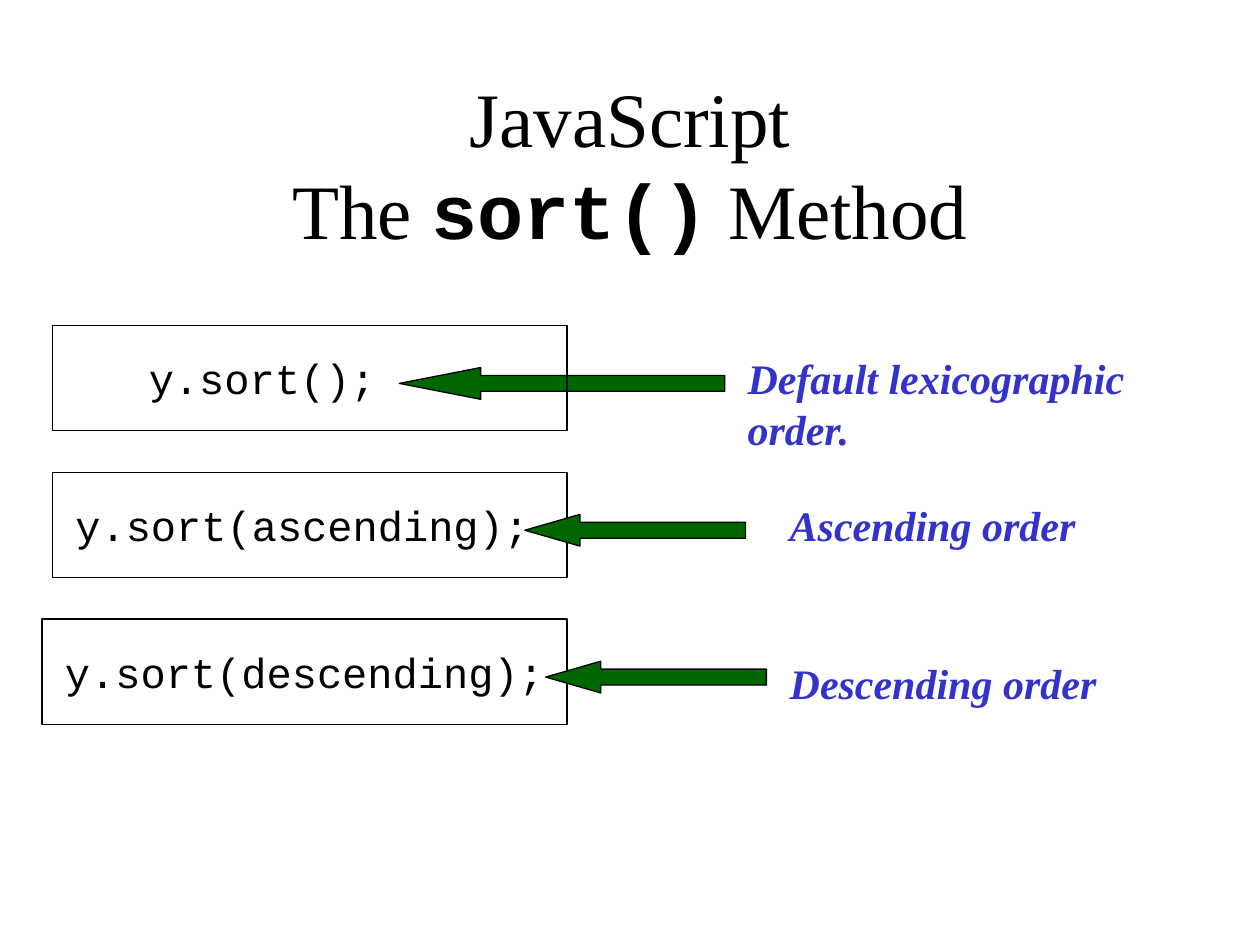
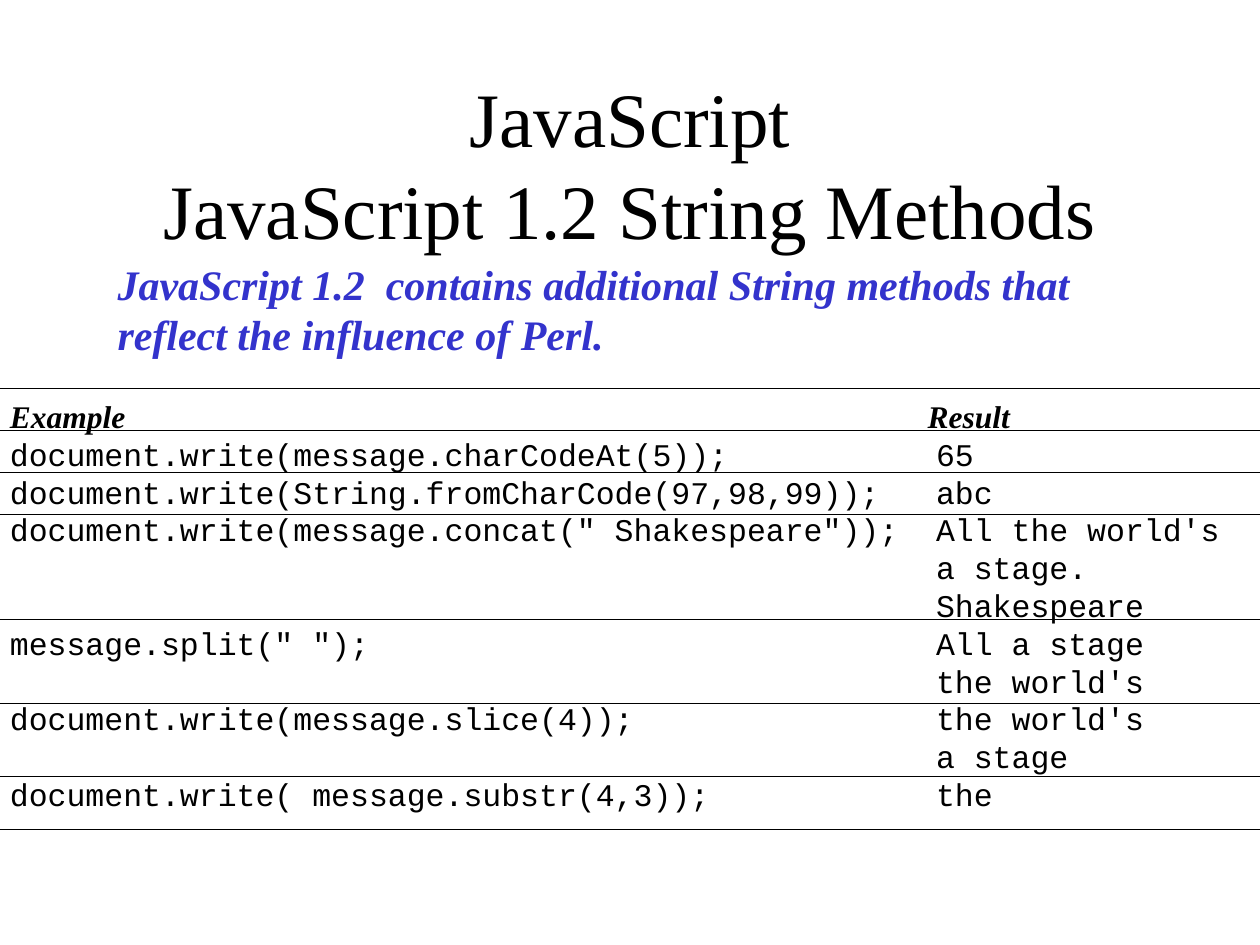
from typing import NamedTuple

from lxml.etree import SubElement
from pptx import Presentation
from pptx.dml.color import RGBColor
from pptx.enum.shapes import MSO_CONNECTOR, MSO_SHAPE
from pptx.enum.text import MSO_ANCHOR, MSO_AUTO_SIZE, PP_ALIGN
from pptx.oxml.ns import qn
from pptx.util import Cm, Pt

COLOURS = {"ink": "000000", "note": "3333CC", "arrow": "006600"}
SERIF, MONO = "Times New Roman", "Courier New"
LINE_WIDTH = Pt(0.75)
PAGE_WIDTH, PAGE_HEIGHT = 25.4, 19.05


class Call(NamedTuple):
    """One sort call with its arrow and note; lengths in cm."""
    code: str
    box_left: float
    indent: float
    arrow_left: float
    arrow_width: float
    note: list
    note_left: float
    note_drop: float
    note_width: float


CALLS = [
    Call("y.sort();", 1.06, 1.94, 8.05, 6.56,
         ["Default lexicographic", "order."], 14.82, 0.43, 8.69),
    Call("y.sort(ascending);", 1.06, 0.46, 10.58, 4.45,
         ["Ascending order"], 15.67, 0.43, 7.19),
    Call("y.sort(descending);", 0.85, 0.46, 11.0, 4.45,
         ["Descending order"], 15.67, 0.65, 7.19),
]
CALLS_TOP, CALL_PITCH, BOX_HEIGHT, BOX_RIGHT = 6.56, 2.96, 2.12, 11.43

METHODS = [
    ("document.write(message.charCodeAt(5));", ["65"]),
    ("document.write(String.fromCharCode(97,98,99));", ["abc"]),
    ('document.write(message.concat(" Shakespeare"));',
     ["All the world's", "a stage.", "Shakespeare"]),
    ('message.split(" ");', ["All a stage", "the world's"]),
    ("document.write(message.slice(4));", ["the world's", "a stage"]),
    ("document.write( message.substr(4,3));", ["the"]),
]
RULE_DROPS = [0, 0.85, 1.69, 2.54, 4.66, 6.35, 7.83, 8.89]


def colour(name):
    """Return a palette colour."""
    return RGBColor.from_string(COLOURS[name])


def add_span(para, text, size, face=SERIF, ink="ink", bold=False, italic=False):
    """Add one formatted run."""
    span = para.add_run()
    span.text = text
    font = span.font
    font.name, font.size, font.bold, font.italic = face, Pt(size), bold, italic
    font.color.rgb = colour(ink)


def write_line(para, text, size, **style):
    """Write a left-aligned paragraph with a pitch of 1.2 times its size."""
    para.alignment = PP_ALIGN.LEFT
    para.line_spacing = Pt(size * 1.2)
    add_span(para, text, size, **style)


def add_titled_page(deck, subject):
    """Add a page titled JavaScript, with the subject runs on a second line."""
    page = deck.slides.add_slide(deck.slide_layouts[5])
    title = page.shapes.title
    title.left, title.top, title.width, title.height = Cm(1.9), Cm(1.7), Cm(21.6), Cm(3.18)
    frame = title.text_frame
    frame.auto_size = MSO_AUTO_SIZE.NONE
    frame.vertical_anchor = MSO_ANCHOR.MIDDLE
    para = frame.paragraphs[0]
    para.alignment = PP_ALIGN.CENTER
    para.line_spacing = Pt(52.6)
    add_span(para, "JavaScript", 44)
    para.add_line_break()
    for text, style in subject:
        add_span(para, text, 44, **style)
    return page


def add_frame(page, left, top, width, height):
    """Add a wrapping text box and return its frame."""
    box = page.shapes.add_textbox(Cm(left), Cm(top), Cm(width), Cm(height))
    box.text_frame.word_wrap = True
    return box.text_frame


def add_note(page, lines, left, top, width, height):
    """Add a bold italic note."""
    frame = add_frame(page, left, top, width, height)
    for index, line in enumerate(lines):
        para = frame.add_paragraph() if index else frame.paragraphs[0]
        write_line(para, line, 24, ink="note", bold=True, italic=True)


def add_outlined(page, kind, left, top, width, height):
    """Add a preset shape with a thin outline and no shadow."""
    shape = page.shapes.add_shape(kind, Cm(left), Cm(top), Cm(width), Cm(height))
    shape.shadow.inherit = False
    shape.line.color.rgb = colour("ink")
    shape.line.width = LINE_WIDTH
    return shape


def add_call_box(page, call, top):
    """Add the outlined box holding a call."""
    box = add_outlined(page, MSO_SHAPE.RECTANGLE, call.box_left, top,
                       BOX_RIGHT - call.box_left, BOX_HEIGHT)
    box.fill.background()
    frame = box.text_frame
    frame.word_wrap = False
    frame.vertical_anchor = MSO_ANCHOR.MIDDLE
    frame.margin_left = Cm(call.indent)
    write_line(frame.paragraphs[0], call.code, 24, face=MONO)


def add_call_arrow(page, call, top):
    """Add the arrow pointing at a call, its head a quarter of its length."""
    height = 0.64
    arrow = add_outlined(page, MSO_SHAPE.LEFT_ARROW, call.arrow_left,
                         top + 0.85, call.arrow_width, height)
    arrow.adjustments[1] = call.arrow_width / 4 / height
    arrow.fill.solid()
    arrow.fill.fore_color.rgb = colour("arrow")


def build_sort_page(deck):
    """Build the page on the sort method; the first arrow lies under its box."""
    page = add_titled_page(deck, [("The ", {}), ("sort()", {"face": MONO, "bold": True}),
                                  (" Method", {})])
    for index, call in enumerate(CALLS):
        top = CALLS_TOP + index * CALL_PITCH
        parts = [add_call_box, add_call_arrow]
        for add_part in parts if index else reversed(parts):
            add_part(page, call, top)
        add_note(page, call.note, call.note_left, top + call.note_drop,
                 call.note_width, 0.25 + 1.02 * len(call.note))


def set_tab(para, position):
    """Give a paragraph one left tab stop."""
    tabs = SubElement(para._p.get_or_add_pPr(), qn("a:tabLst"))
    SubElement(tabs, qn("a:tab"), pos=str(Cm(position)), algn="l")


def add_method_listing(page, left, top, width):
    """Add the tabbed listing of examples and results."""
    frame = add_frame(page, left, top, width, 8.64)
    frame.margin_left, frame.margin_right = Cm(0.2), 0
    heading = frame.paragraphs[0]
    set_tab(heading, 18.5)
    write_line(heading, "Example\tResult", 18, bold=True, italic=True)
    for example, results in METHODS:
        for index, result in enumerate(results):
            para = frame.add_paragraph()
            set_tab(para, 18.67)
            write_line(para, f"{'' if index else example}\t{result}", 18, face=MONO)


def add_rules(page, left, top, width):
    """Add the horizontal rules around the listed methods."""
    for drop in RULE_DROPS:
        level = Cm(top + drop)
        rule = page.shapes.add_connector(MSO_CONNECTOR.STRAIGHT, Cm(left), level,
                                         Cm(left + width), level)
        rule.line.color.rgb = colour("ink")
        rule.line.width = LINE_WIDTH
        SubElement(rule._element.spPr, qn("a:effectLst"))


def build_string_page(deck):
    """Build the page on the string methods."""
    page = add_titled_page(deck, [("JavaScript 1.2 String Methods", {})])
    add_note(page, ["JavaScript 1.2  contains additional String methods that "
                    "reflect the influence of Perl."], 2.12, 5.08, 20.52, 2.29)
    add_method_listing(page, 0, 7.88, PAGE_WIDTH)
    add_rules(page, 0, 7.83, PAGE_WIDTH)


def main():
    """Build and save the deck."""
    deck = Presentation()
    deck.slide_width, deck.slide_height = Cm(PAGE_WIDTH), Cm(PAGE_HEIGHT)
    build_sort_page(deck)
    build_string_page(deck)
    deck.save("out.pptx")


if __name__ == "__main__":
    main()
